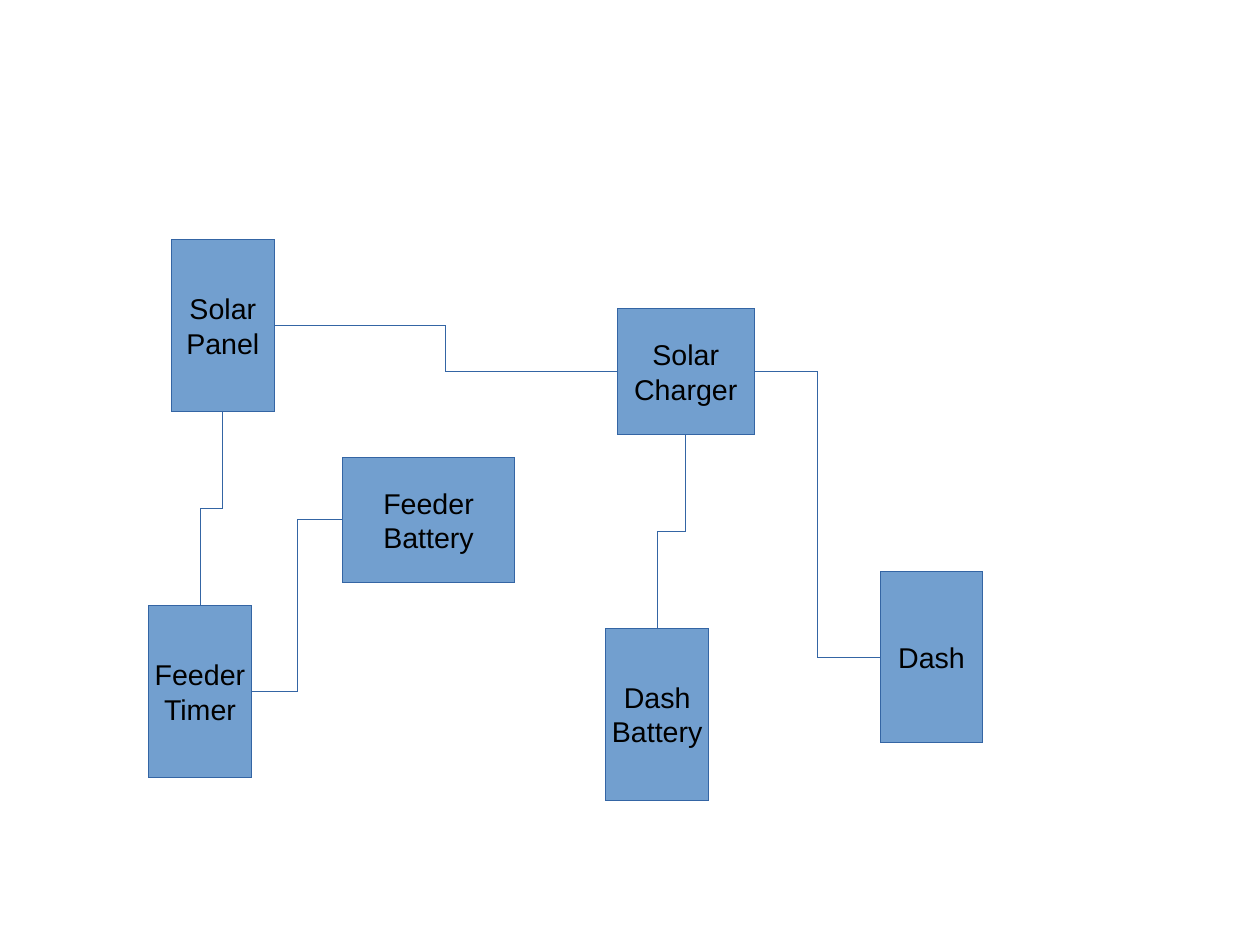
import pptx
import pptx.dml.color
import pptx.enum.shapes
import pptx.enum.text
import pptx.oxml.ns
import pptx.util

Inches = pptx.util.Inches
RGBColor = pptx.dml.color.RGBColor

FILL = RGBColor(0x72, 0x9F, 0xCF)
OUTLINE = RGBColor(0x34, 0x65, 0xA4)
BLACK = RGBColor(0, 0, 0)
TOP, LEFT, BOTTOM, RIGHT = range(4)

FRAME_FORMAT = {
    "word_wrap": False,
    "vertical_anchor": pptx.enum.text.MSO_ANCHOR.MIDDLE,
}
FONT_FORMAT = {"name": "Arial", "size": pptx.util.Pt(18)}

COMPONENTS = {
    "Feeder\nTimer": (1.3, 5.3, 0.9, 1.5),
    "Solar\nPanel": (1.5, 2.1, 0.9, 1.5),
    "Feeder\nBattery": (3, 4, 1.5, 1.1),
    "Solar\nCharger": (5.4, 2.7, 1.2, 1.1),
    "Dash\nBattery": (5.3, 5.5, 0.9, 1.5),
    "Dash": (7.7, 5, 0.9, 1.5),
}
WIRES = [
    ("Solar\nPanel", BOTTOM, "Feeder\nTimer", TOP),
    ("Feeder\nTimer", RIGHT, "Feeder\nBattery", LEFT),
    ("Solar\nPanel", RIGHT, "Solar\nCharger", LEFT),
    ("Solar\nCharger", BOTTOM, "Dash\nBattery", TOP),
    ("Solar\nCharger", RIGHT, "Dash", LEFT),
]


def draw_hairline(shape):
    shape.line.color.rgb = OUTLINE
    shape._element.spPr.get_or_add_ln().set("w", "0")


deck = pptx.Presentation()
deck.slide_width = Inches(28 / 2.54)
deck.slide_height = Inches(21 / 2.54)
page = deck.slides.add_slide(deck.slide_layouts[6])

boxes = {}
for label, place in COMPONENTS.items():
    box = page.shapes.add_shape(
        pptx.enum.shapes.MSO_SHAPE.RECTANGLE, *map(Inches, place)
    )
    box.shadow.inherit = False
    box.fill.solid()
    box.fill.fore_color.rgb = FILL
    draw_hairline(box)
    frame = box.text_frame
    frame.text = label
    for name, value in FRAME_FORMAT.items():
        setattr(frame, name, value)
    for para in frame.paragraphs:
        para.alignment = pptx.enum.text.PP_ALIGN.CENTER
        for name, value in FONT_FORMAT.items():
            setattr(para.font, name, value)
        para.font.color.rgb = BLACK
    boxes[label] = box

for source, source_side, target, target_side in WIRES:
    wire = page.shapes.add_connector(
        pptx.enum.shapes.MSO_CONNECTOR.ELBOW, 0, 0, 0, 0
    )
    wire.begin_connect(boxes[source], source_side)
    wire.end_connect(boxes[target], target_side)
    draw_hairline(wire)
    properties = wire._element.spPr
    properties.append(
        properties.makeelement(pptx.oxml.ns.qn("a:effectLst"), {})
    )
    if source_side == BOTTOM:
        width, height = wire.width, wire.height
        wire.left += (width - height) // 2
        wire.top += (height - width) // 2
        wire.width, wire.height = height, width
        properties.xfrm.set("rot", "5400000")
        properties.xfrm.set("flipH", "0")

deck.save("out.pptx")
